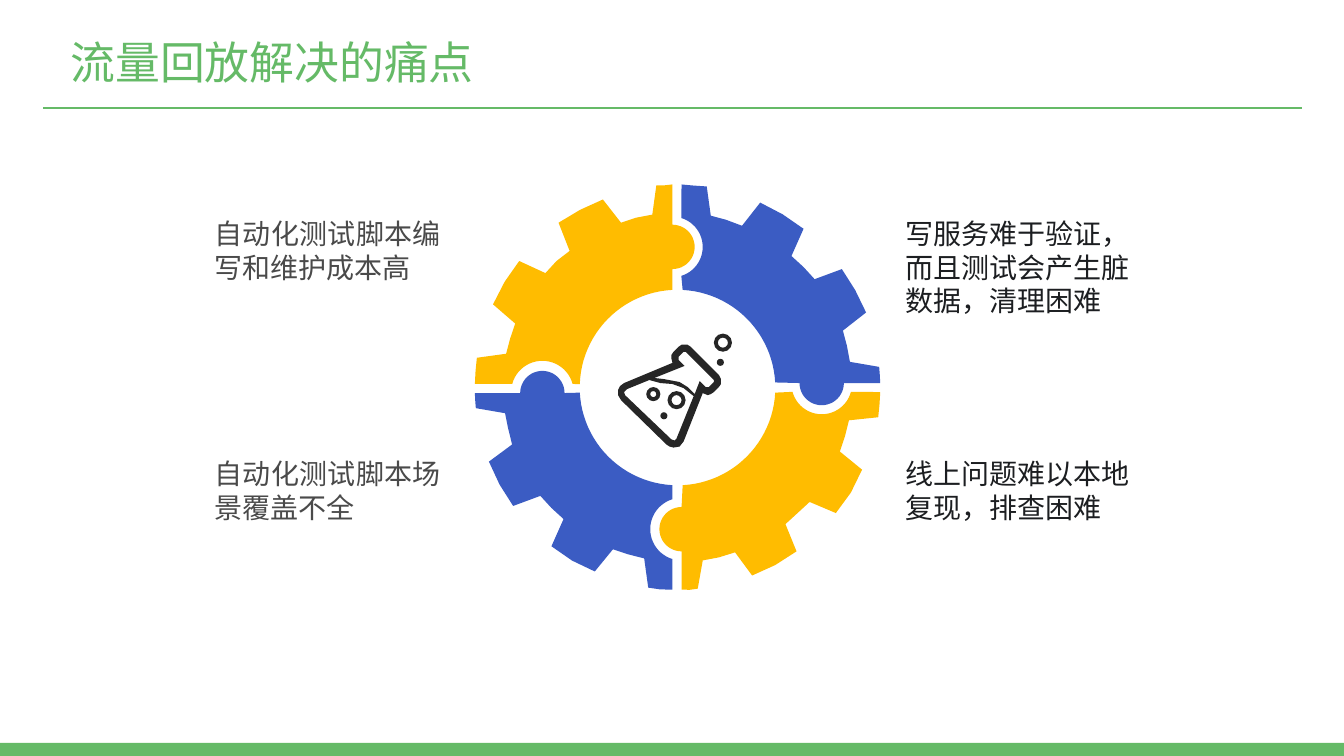
from dataclasses import dataclass
from math import cos, hypot, radians, sin

from lxml.etree import SubElement
from pptx import Presentation
from pptx.dml.color import RGBColor as RGB
from pptx.enum.shapes import MSO_CONNECTOR as CONNECTOR, MSO_SHAPE as SHAPE
from pptx.enum.text import MSO_ANCHOR as ANCHOR, PP_ALIGN as ALIGN
from pptx.oxml.ns import qn
from pptx.util import Inches, Pt


@dataclass(frozen=True)
class Theme:
    """Colours, fonts and type sizes of the slide."""
    green: RGB = RGB(0x65, 0xBA, 0x67)
    yellow: RGB = RGB(0xFF, 0xBC, 0x00)
    blue: RGB = RGB(0x3B, 0x5C, 0xC3)
    icon: RGB = RGB(0x26, 0x26, 0x26)
    grey: RGB = RGB(0x4A, 0x4A, 0x4A)
    ink: RGB = RGB(0x1C, 0x1E, 0x21)
    title_font: str = "Noto Sans CJK SC"
    left_font: str = "Roboto"
    right_font: str = "Lato"
    title_size: Pt = Pt(32)
    body_size: Pt = Pt(20)


THEME = Theme()
HUB_X, HUB_Y, HUB_R, GEAR_R = 6.72, 3.845, 0.97, 2.01


def arc(cx, cy, r, start, end, steps=24):
    """Return points along a circle, angles in degrees clockwise from the right."""
    angles = [radians(start + (end - start) * i / steps) for i in range(steps + 1)]
    return [(cx + r * cos(a), cy + r * sin(a)) for a in angles]


def hub_arc(start, end):
    """Return points along the inner circle of the gear."""
    return arc(HUB_X, HUB_Y, HUB_R, start, end)


def round_tips(points):
    """Bulge every edge between two outer points out to the gear's rim."""
    out = []
    for (x1, y1), (x2, y2) in zip(points, points[1:] + points[:1]):
        out.append((x1, y1))
        dx, dy = (x1 + x2) / 2 - HUB_X, (y1 + y2) / 2 - HUB_Y
        if min(hypot(x1 - HUB_X, y1 - HUB_Y), hypot(x2 - HUB_X, y2 - HUB_Y)) > 1.9:
            k = GEAR_R / hypot(dx, dy)
            out.append((HUB_X + dx * k, HUB_Y + dy * k))
    return out


def paint(sp, color):
    """Give a shape a plain fill without line or shadow."""
    sp.shadow.inherit = False
    sp.fill.solid()
    sp.fill.fore_color.rgb = color
    sp.line.fill.background()


def add_outline(shapes, contours, color):
    """Draw one filled freeform from closed contours."""
    contours = [[(Inches(x), Inches(y)) for x, y in c] for c in contours]
    builder = shapes.build_freeform(*contours[0][0])
    for i, points in enumerate(contours):
        if i:
            builder.move_to(*points[0])
        builder.add_line_segments(points[1:], close=True)
    paint(builder.convert_to_shape(), color)


def add_preset(shapes, kind, x, y, w, h, color):
    """Draw a filled preset shape."""
    sp = shapes.add_shape(kind, Inches(x), Inches(y), Inches(w), Inches(h))
    paint(sp, color)
    return sp


def add_text(s, x, y, w, h, text, font, size, color, align=ALIGN.LEFT, anchor=ANCHOR.TOP, spacing=1.0):
    """Add a wrapping text box with one paragraph."""
    tf = s.shapes.add_textbox(Inches(x), Inches(y), Inches(w), Inches(h)).text_frame
    tf.word_wrap = True
    tf.vertical_anchor = anchor
    p = tf.paragraphs[0]
    p.text = text
    p.alignment, p.line_spacing = align, spacing
    p.font.name, p.font.size, p.font.color.rgb = font, size, color


def add_rule(s, x1, x2, y):
    """Draw the green line below the title."""
    line = s.shapes.add_connector(CONNECTOR.STRAIGHT, Inches(x1), Inches(y), Inches(x2), Inches(y))
    line.line.color.rgb, line.line.width = THEME.green, Pt(1)
    SubElement(line._element.spPr, qn("a:effectLst"))


def add_gear(s):
    """Draw the four interlocking quarters of the gear."""
    top_left = [
        (5.02, 3.51), (4.73, 3.55), (4.71, 3.81), *arc(5.38, 3.89, 0.31, 195, 345),
        *hub_arc(182, 267), *arc(6.67, 2.45, 0.22, 90, -90), (6.67, 1.83), (6.51, 1.84),
        (6.47, 2.13), (6.31, 2.16), (6.16, 2.21), (5.98, 1.98), (5.54, 2.21), (5.65, 2.49),
        (5.52, 2.59), (5.41, 2.71), (5.15, 2.59), (4.89, 3.02), (5.11, 3.21), (5.06, 3.36)]
    bottom_left = [
        *arc(6.76, 5.25, 0.31, 107, 253), *hub_arc(93, 177), *arc(5.38, 3.9, 0.22, 0, -180),
        (4.71, 3.9), (4.72, 4.05), (5.01, 4.1), (5.04, 4.25), (5.08, 4.41), (4.85, 4.58),
        (5.09, 5.02), (5.36, 4.92), (5.47, 5.04), (5.59, 5.15), (5.47, 5.42), (5.9, 5.67),
        (6.08, 5.45), (6.23, 5.5), (6.39, 5.54), (6.43, 5.83), (6.67, 5.85)]
    top_right = [
        *arc(6.67, 2.45, 0.3, -73, 73), *hub_arc(273, 357), *arc(8.15, 3.8, 0.22, 180, 0),
        (8.73, 3.8), (8.72, 3.64), (8.43, 3.59), (8.4, 3.43), (8.36, 3.28), (8.59, 3.1),
        (8.35, 2.67), (8.08, 2.77), (7.97, 2.65), (7.85, 2.54), (7.97, 2.27), (7.54, 2.01),
        (7.36, 2.24), (7.2, 2.18), (7.05, 2.14), (7.01, 1.85), (6.76, 1.83)]
    bottom_right = [
        (8.42, 4.17), (8.71, 4.14), (8.73, 3.89), *arc(8.15, 3.81, 0.3, 15, 165),
        *hub_arc(3, 87), *arc(6.76, 5.25, 0.22, 270, 90), (6.76, 5.85), (6.92, 5.84),
        (6.97, 5.56), (7.13, 5.53), (7.29, 5.48), (7.46, 5.71), (7.9, 5.47), (7.79, 5.2),
        (7.91, 5.09), (8.03, 4.98), (8.29, 5.09), (8.55, 4.66), (8.33, 4.48), (8.38, 4.33)]
    quarters = [(top_left, THEME.yellow), (bottom_left, THEME.blue),
                (top_right, THEME.blue), (bottom_right, THEME.yellow)]
    for points, color in quarters:
        add_outline(s.shapes, [round_tips(points)], color)


def add_flask(s):
    """Draw the flask with its bubbles as one group."""
    shapes = s.shapes.add_group_shape().shapes
    body = [
        (6.85, 3.44), (6.82, 3.42), (6.79, 3.42), (6.76, 3.42), (6.73, 3.44), (6.68, 3.49),
        (6.66, 3.52), (6.66, 3.56), (6.67, 3.6), (6.19, 3.8), (6.15, 3.83), (6.13, 3.87),
        (6.13, 3.92), (6.16, 3.97), (6.61, 4.41), (6.64, 4.43), (6.68, 4.44), (6.74, 4.43),
        (6.78, 4.38), (6.97, 3.9), (7.02, 3.92), (7.05, 3.91), (7.08, 3.89), (7.13, 3.84),
        (7.15, 3.81), (7.15, 3.76), (7.13, 3.72)]
    liquid = [
        (6.71, 4.35), (6.69, 4.37), (6.66, 4.36), (6.2, 3.92), (6.19, 3.89), (6.22, 3.86),
        (6.44, 3.77), (6.55, 3.8), (6.67, 3.81), (6.78, 3.85), (6.88, 3.93)]
    neck = [
        (7.08, 3.79), (7.03, 3.84), (7, 3.84), (6.94, 3.78), (6.89, 3.91), (6.82, 3.84),
        (6.74, 3.79), (6.58, 3.76), (6.49, 3.75), (6.79, 3.63), (6.73, 3.57), (6.73, 3.54),
        (6.78, 3.49), (6.8, 3.49), (7.08, 3.77)]
    add_outline(shapes, [body, liquid, neck], THEME.icon)
    for x, y, size in [(6.62, 3.88, 0.18), (7.08, 3.31, 0.18), (6.41, 3.84, 0.14)]:
        ring = add_preset(shapes, SHAPE.DONUT, x, y, size, size, THEME.icon)
        ring.adjustments[0] = 0.04 / size
    for x, y in [(6.55, 4.09), (7.11, 3.56)]:
        add_preset(shapes, SHAPE.OVAL, x, y, 0.07, 0.07, THEME.icon)


def add_pain_points(s):
    """Write the pain points left and right of the gear."""
    left = (2.03, THEME.left_font, THEME.grey, ALIGN.JUSTIFY)
    right = (8.88, THEME.right_font, THEME.ink, ALIGN.LEFT)
    for (x, font, color, align), y, h, text in [
            (left, 4.48, 0.77, "自动化测试脚本场景覆盖不全"),
            (right, 4.48, 0.77, "线上问题难以本地复现，排查困难"),
            (left, 2.1, 0.77, "自动化测试脚本编写和维护成本高"),
            (right, 2.1, 1.11, "写服务难于验证，而且测试会产生脏数据，清理困难")]:
        add_text(s, x, y, 2.44, h, text, font, THEME.body_size, color, align)


def main():
    """Build the slide and save it."""
    prs = Presentation()
    prs.slide_width, prs.slide_height = Inches(13.33), Inches(7.5)
    s = prs.slides.add_slide(prs.slide_layouts[6])
    add_preset(s.shapes, SHAPE.RECTANGLE, 0, 7.37, 13.33, 0.13, THEME.green)
    add_text(s, 0.6, 0.21, 11.5, 0.87, "流量回放解决的痛点", THEME.title_font,
             THEME.title_size, THEME.green, anchor=ANCHOR.MIDDLE, spacing=0.9)
    add_rule(s, 0.43, 12.91, 1.07)
    add_gear(s)
    add_flask(s)
    add_pain_points(s)
    prs.save("out.pptx")


if __name__ == "__main__":
    main()
